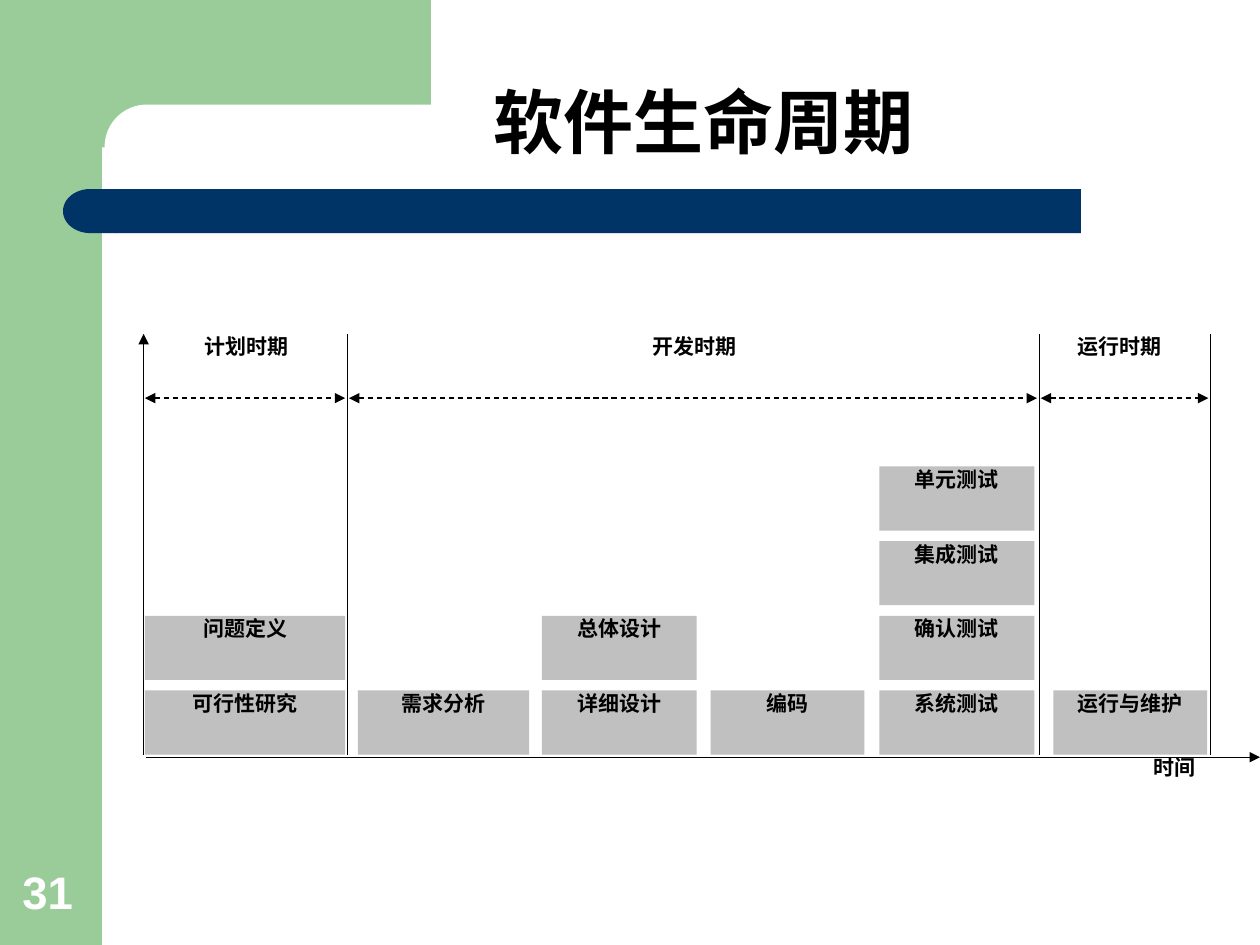
import pptx
import pptx.dml.color
import pptx.enum.dml
import pptx.enum.shapes
import pptx.enum.text
import pptx.oxml.ns
import pptx.util
import lxml.etree

SHAPES = pptx.enum.shapes.MSO_SHAPE
ALIGN = pptx.enum.text.PP_ALIGN
ANCHOR = pptx.enum.text.MSO_ANCHOR

# Slide grid: 100 columns by 75 rows; every length below is in grid units
WIDTH, HEIGHT = pptx.util.Inches(10), pptx.util.Inches(7.5)
COLUMN, ROW = WIDTH / 100, HEIGHT / 75

GREEN, NAVY, GREY, BLACK, WHITE = "99CC99", "003366", "C0C0C0", "000000", "FFFFFF"


def color(value):
    return pptx.dml.color.RGBColor.from_string(value)


def grid(box, left, top, width=0, height=0):
    """Turn a place inside a box into slide lengths."""
    return (round((box[0] + left) * COLUMN), round((box[1] + top) * ROW),
            round(width * COLUMN), round(height * ROW))


def add_block(slide, place, fill, kind=SHAPES.RECTANGLE):
    shape = slide.shapes.add_shape(kind, *place)
    shape.shadow.inherit = False
    shape.fill.solid()
    shape.fill.fore_color.rgb = color(fill)
    shape.line.fill.background()
    return shape


def set_text(shape, text, size=12, font="Times New Roman", fill=BLACK,
             align=ALIGN.CENTER, anchor=ANCHOR.TOP, margin=0):
    frame = shape.text_frame
    frame.word_wrap = True
    frame.vertical_anchor = anchor
    frame.margin_left = frame.margin_right = pptx.util.Inches(margin)
    frame.margin_top = frame.margin_bottom = pptx.util.Inches(margin / 2)
    frame.text = text
    paragraph = frame.paragraphs[0]
    paragraph.alignment = align
    run_font = paragraph.runs[0].font
    run_font.name, run_font.size, run_font.bold = font, pptx.util.Pt(size), True
    run_font.color.rgb = color(fill)


def add_label(slide, place, text, **style):
    set_text(slide.shapes.add_textbox(*place), text, **style)


def add_line(slide, box, start, end, arrows=(), dashed=False):
    connector = slide.shapes.add_connector(
        pptx.enum.shapes.MSO_CONNECTOR.STRAIGHT,
        *grid(box, *start)[:2], *grid(box, *end)[:2])
    connector.line.color.rgb = color(BLACK)
    connector.line.width = pptx.util.Pt(0.75)
    if dashed:
        connector.line.dash_style = pptx.enum.dml.MSO_LINE.DASH
    line = connector.line._get_or_add_ln()
    for arrow in arrows:
        lxml.etree.SubElement(line, pptx.oxml.ns.qn("a:" + arrow), type="triangle")
    properties = connector._element.spPr
    lxml.etree.SubElement(properties, pptx.oxml.ns.qn("a:effectLst"))


def build_frame(slide, box):
    # Green corner with a white rounded cut-out
    add_block(slide, grid(box, 0, 0, 8.1, box[3]), GREEN)
    add_block(slide, grid(box, 7.3, 0, 26.9, 11.7 - 3.4 * 0), GREEN)
    cutout = add_block(slide, grid(box, 8.3, 8.3, 55.8, 6.7), WHITE,
                       SHAPES.ROUNDED_RECTANGLE)
    cutout.adjustments[0] = 0.5
    # Navy bar with a rounded left end
    add_block(slide, grid(box, 9.2, 15, 76.6, 3.5), NAVY)
    bar_end = add_block(slide, grid(box, 5, 15, 4.3, 3.5), NAVY,
                        SHAPES.FLOWCHART_DELAY)
    bar_end.rotation = 180
    # Page number
    add_label(slide, grid(box, 0.8, 68, 6.4, 5.4), "31", size=26, font="Arial",
              fill=WHITE, align=ALIGN.LEFT, anchor=ANCHOR.BOTTOM, margin=0.1)


def build_title(slide, box):
    add_label(slide, grid(box, 0, 0, *box[2:]), "软件生命周期", size=40,
              font="DejaVu Sans Mono", align=ALIGN.LEFT, anchor=ANCHOR.BOTTOM,
              margin=0.1)


def build_timeline(slide, box):
    width, height = box[2:]
    block_height, pitch = 5.1, 5.93
    bottom_row = height - 5.3

    # Axes
    add_line(slide, box, (0, 0), (0, height - 0.2), ["headEnd"])
    add_line(slide, box, (0.2, height), (width, height), ["tailEnd"])

    # Activities: left, width, names from the bottom row up
    stacks = [
        (0.1, 15.9, ["可行性研究", "问题定义"]),
        (17, 13.6, ["需求分析"]),
        (31.6, 12.3, ["详细设计", "总体设计"]),
        (45, 12.2, ["编码"]),
        (58.4, 12.3, ["系统测试", "确认测试", "集成测试", "单元测试"]),
        (72.2, 12.2, ["运行与维护"]),
    ]
    for left, block_width, names in stacks:
        for level, name in enumerate(names):
            place = grid(box, left, bottom_row - level * pitch,
                         block_width, block_height)
            set_text(add_block(slide, place, GREY), name)

    # Phases: start, end, label centre, name
    phases = [
        (0, 16.2, 8.15, "计划时期"),
        (16.2, 71.1, 43.75, "开发时期"),
        (71.1, 84.7, 77.45, "运行时期"),
    ]
    for start, end, centre, name in phases:
        add_line(slide, box, (end, 0), (end, height - 0.2))
        add_line(slide, box, (start + 0.1, 5.1), (end - 0.2, 5.1),
                 ["headEnd", "tailEnd"], dashed=True)
        add_label(slide, grid(box, centre - 7.95, 0, 15.9, 5.1), name)

    # Time axis label
    add_label(slide, grid(box, 77.3, height - 0.2, 9.1, 5.1), "时间")


def main():
    presentation = pptx.Presentation()
    presentation.slide_width, presentation.slide_height = WIDTH, HEIGHT
    slide = presentation.slides.add_slide(presentation.slide_layouts[6])
    # Boxes: left, top, width, height
    build_frame(slide, (0, 0, 100, 75))
    build_title(slide, (38.2, 4.2, 59.3, 9.2))
    build_timeline(slide, (11.4, 26.5, 88.6, 33.6))
    presentation.save("out.pptx")


if __name__ == "__main__":
    main()
